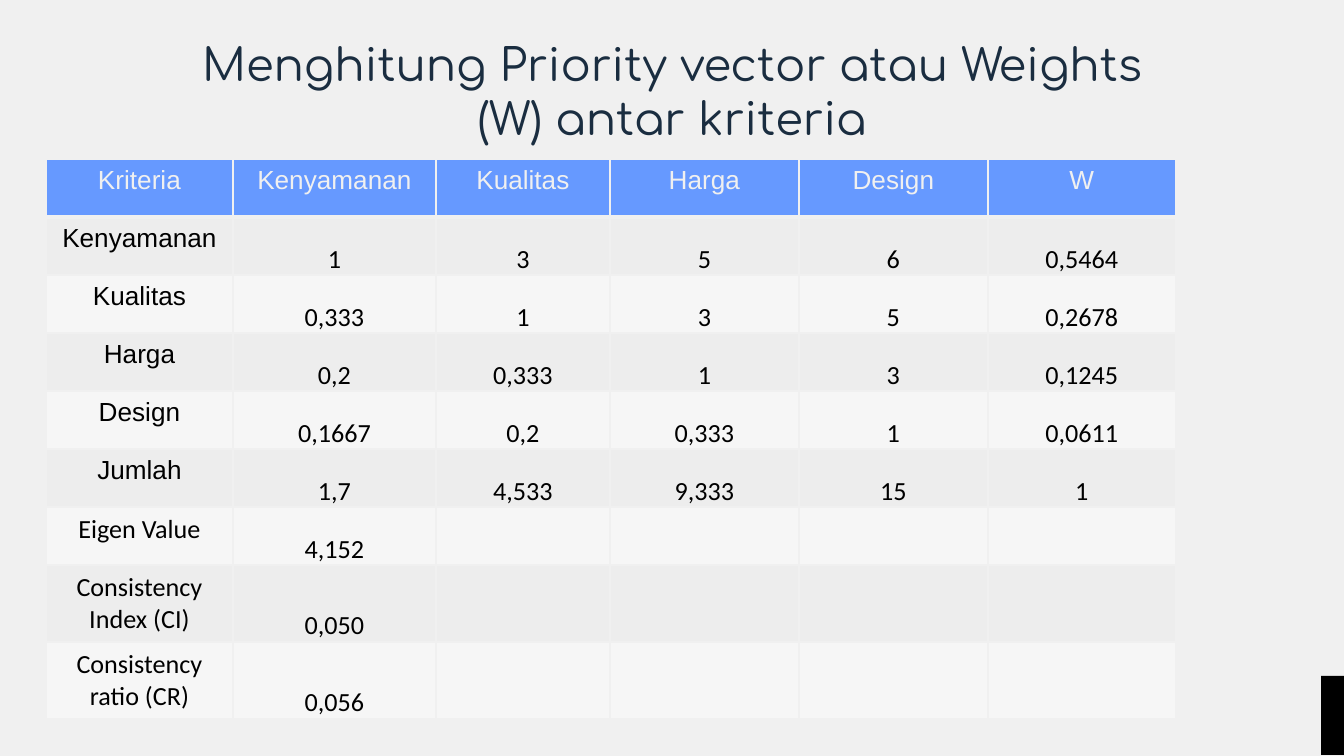
from lxml import etree
from pptx import Presentation, util as u
from pptx.dml.color import RGBColor
from pptx.enum import shapes, text
from pptx.oxml.ns import qn

# Content
TITLE = "Menghitung Priority vector atau Weights (W) antar kriteria"
HEADER = ["Kriteria", "Kenyamanan", "Kualitas", "Harga", "Design", "W"]
ROWS = [
    ["Kenyamanan", "1", "3", "5", "6", "0,5464"],
    ["Kualitas", "0,333", "1", "3", "5", "0,2678"],
    ["Harga", "0,2", "0,333", "1", "3", "0,1245"],
    ["Design", "0,1667", "0,2", "0,333", "1", "0,0611"],
    ["Jumlah", "1,7", "4,533", "9,333", "15", "1"],
    ["Eigen Value", "4,152"],
    ["Consistency Index (CI)", "0,050"],
    ["Consistency ratio (CR)", "0,056"],
]
ARIAL_LABELS = 6  # header and the rows down to Jumlah

# Layout in px
WIDTH, HEIGHT = 1344, 756
TITLE_BOX = (168, 24, 1008, 134)
CORNER_BAR = (1293, 704, 79, 23)
TABLE_LEFT, TABLE_TOP = 46, 159
COLUMNS = [187, 203, 174, 189, 189, 188]
HEIGHTS = [58] * 7 + [77] * 2

PALE, BLUE, NAVY, BLACK = "F0F0F0", "6699FF", "1A2D40", "000000"
BANDS = ["F6F6F6", "EDEDED"]


def px(value):
    return round(value * u.Inches(10) / WIDTH)


def paint(fill, color):
    fill.solid()
    fill.fore_color.rgb = RGBColor.from_string(color)


def style(para, font, size, color):
    para.alignment = text.PP_ALIGN.CENTER
    para.font.name = font
    para.font.size = u.Pt(size)
    para.font.color.rgb = RGBColor.from_string(color)


def add_borders(cell, bottom):
    props = cell._tc.get_or_add_tcPr()
    for side, points in (("L", 1), ("R", 1), ("T", 1), ("B", bottom)):
        line = etree.SubElement(props, qn(f"a:ln{side}"), w=str(u.Pt(points)))
        solid = etree.SubElement(line, qn("a:solidFill"))
        etree.SubElement(solid, qn("a:srgbClr"), val=PALE)


deck = Presentation()
deck.slide_width, deck.slide_height = px(WIDTH), px(HEIGHT)
page = deck.slides.add_slide(deck.slide_layouts[6])
paint(page.background.fill, PALE)

# Corner bar
bar = page.shapes.add_shape(shapes.MSO_SHAPE.RECTANGLE, *map(px, CORNER_BAR))
bar.rotation = 90
bar.shadow.inherit = False
bar.line.fill.background()
paint(bar.fill, BLACK)

# Title
box = page.shapes.add_textbox(*map(px, TITLE_BOX))
frame = box.text_frame
frame.word_wrap = True
frame.vertical_anchor = text.MSO_ANCHOR.BOTTOM
frame.margin_left = frame.margin_right = u.Inches(0.1)
frame.margin_top = frame.margin_bottom = u.Inches(0.1)
frame.text = TITLE
style(frame.paragraphs[0], "Comfortaa", 24, NAVY)

# Weights table
table = page.shapes.add_table(
    len(HEIGHTS), len(COLUMNS), px(TABLE_LEFT), px(TABLE_TOP),
    px(sum(COLUMNS)), px(sum(HEIGHTS))).table
table.horz_banding = table.first_row = False
for column, width in zip(table.columns, COLUMNS):
    column.width = px(width)
for row, height in zip(table.rows, HEIGHTS):
    row.height = px(height)

for r, values in enumerate([HEADER] + ROWS):
    is_header = r == 0
    for c in range(len(COLUMNS)):
        cell = table.cell(r, c)
        add_borders(cell, 3 if is_header else 1)
        paint(cell.fill, BLUE if is_header else BANDS[r % 2])
        if c >= len(values):
            continue
        is_number = c > 0 and not is_header
        cell.text = values[c]
        font = "Calibri" if is_number or r >= ARIAL_LABELS else "Arial"
        style(cell.text_frame.paragraphs[0], font, 14, PALE if is_header else BLACK)
        if is_number:
            cell.vertical_anchor = text.MSO_ANCHOR.BOTTOM
            cell.margin_left = cell.margin_right = cell.margin_top = px(1)
            cell.margin_bottom = 0

deck.save("out.pptx")
